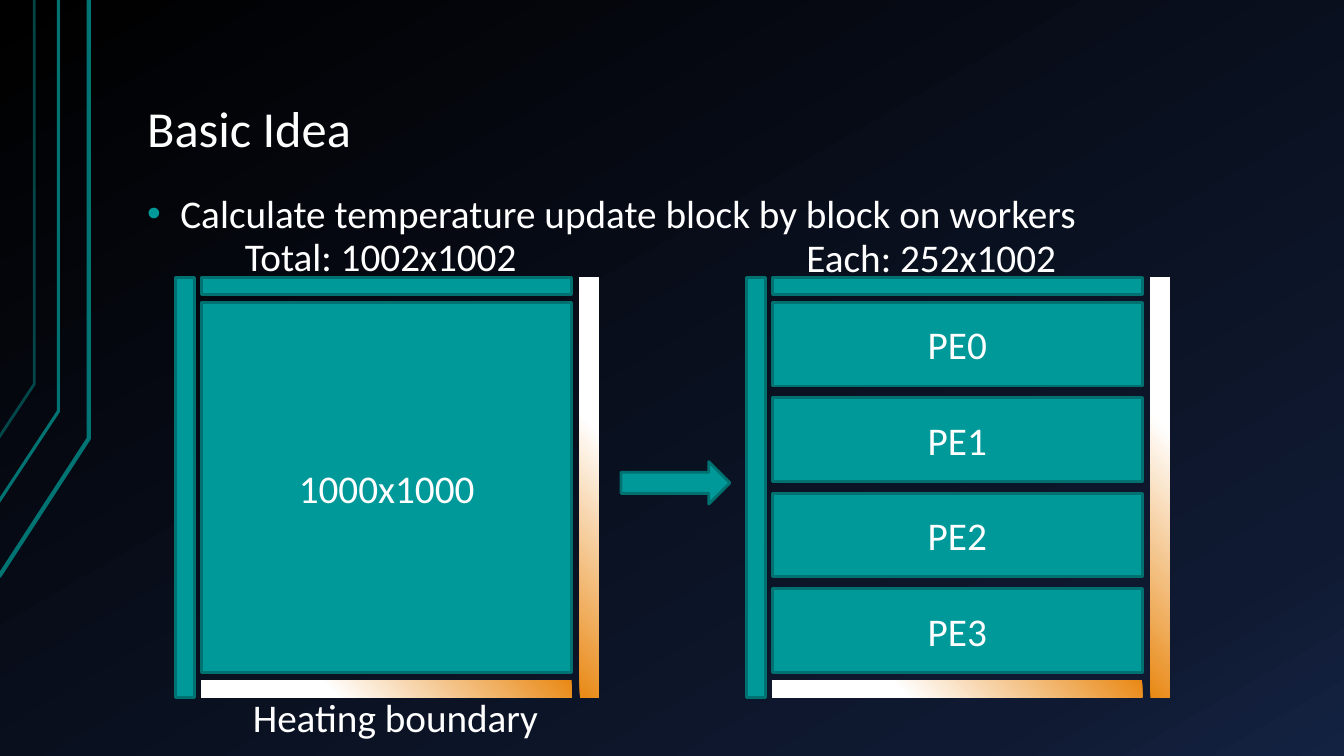
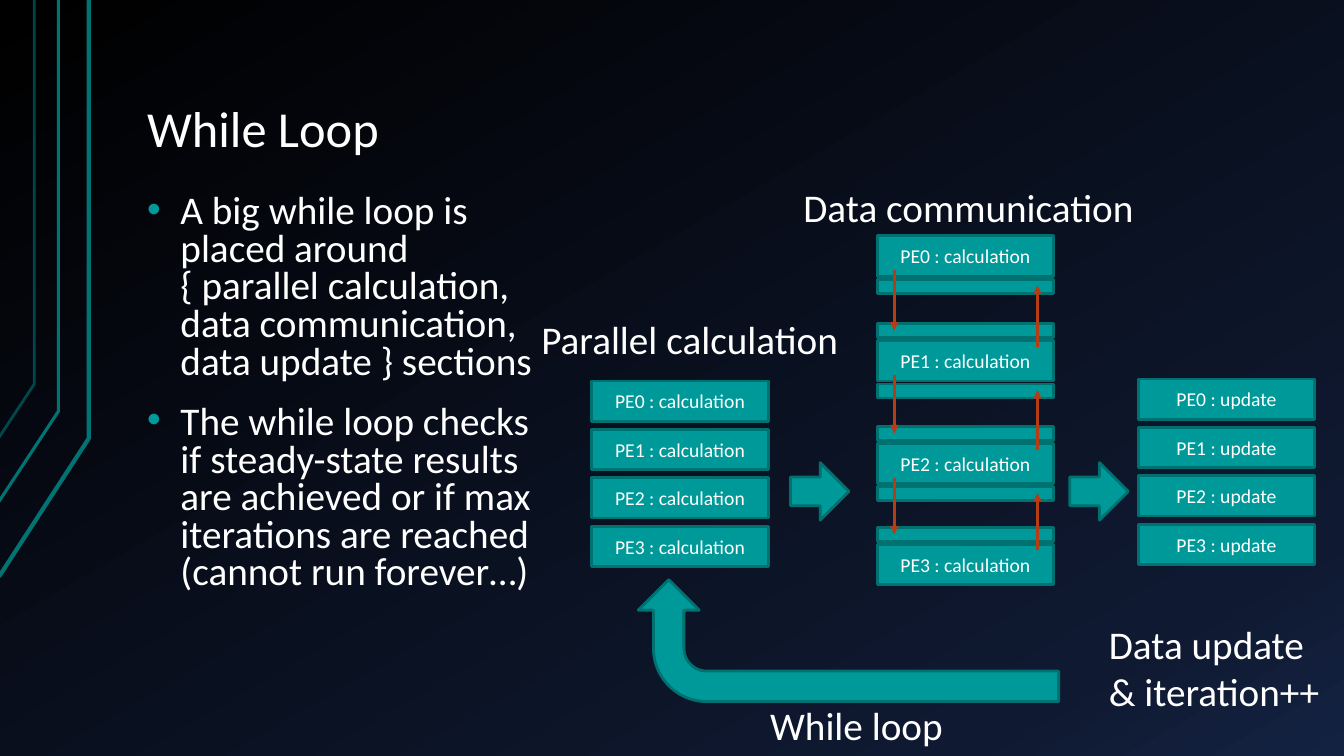
from lxml.etree import SubElement
from pptx import Presentation
from pptx.dml.color import RGBColor
from pptx.enum.shapes import MSO_CONNECTOR, MSO_SHAPE
from pptx.enum.text import MSO_ANCHOR, MSO_AUTO_SIZE, PP_ALIGN
from pptx.oxml.ns import qn
from pptx.util import Inches, Pt

# Shared look
HUES = {"text": "FFFFFF", "teal": "009999", "edge": "007171", "rail": "007373", "link": "B63C16"}
FONT = "Calibri"
NIGHT = [(0, "000000"), (85, "0F1931"), (100, "142242")]
HEAT = [(0, "FFFFFF"), (35, "FFFFFF"), (100, "E98915")]
RAILS = [  # points, width, opacity
    ([(-0.01, 5.72), (0.88, 4.35), (0.88, 0)], 3, 100),
    ([(-0.02, 4.99), (0.58, 4.08), (0.58, 0)], 2.25, 100),
    ([(-0.01, 4.34), (0.34, 3.81), (0.34, 0)], 2, 60),
]

# Content
IDEA = {
    "title": "Basic Idea",
    "points": ["Calculate temperature update block by block on workers"],
    "grids": [(2, ["1000x1000"]), (7.66, ["PE0", "PE1", "PE2", "PE3"])],
    "notes": [
        ("Heating boundary", 2.41, 6.83, 3.06),
        ("Total: 1002x1002", 2.33, 2.26, 2.93),
        ("Each: 252x1002", 7.9, 2.27, 2.71),
    ],
}
LOOP = {
    "title": "While Loop",
    "points": [
        "A big while loop is placed around { parallel calculation, "
        "data communication, data update } sections",
        "The while loop checks if steady-state results are achieved "
        "or if max iterations are reached (cannot run forever…)",
    ],
    "stacks": [("calculation", 5.87, 3.78), ("update", 11.29, 3.76)],
    "swap": [2.34, 3.38, 4.4, 5.4],
    "notes": [
        ("Parallel calculation", 5.27, 3.08, 3.22),
        ("Data communication", 7.87, 1.77, 3.51),
        ("Data update\n& iteration++", 10.9, 6.1, 2.31),
        ("While loop", 7.54, 6.91, 1.93),
    ],
}


def rgb(name):
    return RGBColor.from_string(HUES[name])


def write(frame, lines, size=28, align=PP_ALIGN.LEFT, space=None, before=0, dot=False):
    for i, line in enumerate(lines):
        para = frame.paragraphs[0] if i == 0 else frame.add_paragraph()
        para.alignment = align
        if space:
            para.line_spacing = space
        para.space_before = Pt(before)
        run = para.add_run()
        run.text = line
        run.font.name, run.font.size = FONT, Pt(size)
        run.font.color.rgb = rgb("text")
        if dot:
            props = para._p.get_or_add_pPr()
            props.set("marL", str(Inches(0.33)))
            props.set("indent", str(-Inches(0.33)))
            SubElement(SubElement(props, qn("a:buClr")), qn("a:srgbClr"), val=HUES["teal"])
            SubElement(props, qn("a:buFont"), typeface="Arial")
            SubElement(props, qn("a:buChar"), char="•")


def blend(fill, root, stops, angle=None, focus=None):
    """Give a fill its stops, with an angle or a circle focus (l, t, r, b)."""
    fill.gradient()
    grad = root.find(".//" + qn("a:gradFill"))
    for kid in list(grad):
        grad.remove(kid)
    group = SubElement(grad, qn("a:gsLst"))
    for share, hue in stops:
        stop = SubElement(group, qn("a:gs"), pos=str(share * 1000))
        SubElement(stop, qn("a:srgbClr"), val=hue)
    if focus:
        ring = SubElement(grad, qn("a:path"), path="circle")
        sides = {k: str(v * 1000) for k, v in zip("ltrb", focus)}
        SubElement(ring, qn("a:fillToRect"), **sides)
    else:
        SubElement(grad, qn("a:lin"), ang=str(angle * 60000), scaled="0")


def block(slide, x, y, w, h, label="", size=28, kind=MSO_SHAPE.RECTANGLE, turn=False, focus=None):
    """Place a shape by its visible box; turn rotates it by 270 degrees."""
    if turn:
        x, y, w, h = x + (w - h) / 2, y + (h - w) / 2, h, w
    shape = slide.shapes.add_shape(kind, Inches(x), Inches(y), Inches(w), Inches(h))
    shape.rotation = 270 if turn else 0
    shape.shadow.inherit = False
    if focus:
        blend(shape.fill, shape._element, HEAT, focus=focus)
        shape.line.fill.background()
    else:
        shape.fill.solid()
        shape.fill.fore_color.rgb = rgb("teal")
        shape.line.color.rgb = rgb("edge")
        shape.line.width = Pt(2)
    if label:
        shape.text_frame.vertical_anchor = MSO_ANCHOR.MIDDLE
        write(shape.text_frame, [label], size=size, align=PP_ALIGN.CENTER)


def area(slide, x, y, w, h, lines, anchor=MSO_ANCHOR.TOP, **look):
    frame = slide.shapes.add_textbox(Inches(x), Inches(y), Inches(w), Inches(h)).text_frame
    frame.word_wrap = True
    frame.vertical_anchor = anchor
    frame.margin_left = frame.margin_right = Inches(0.13)
    frame.margin_top = frame.margin_bottom = Inches(0.07)
    write(frame, lines, **look)


def note(slide, words, x, y, w):
    lines = words.split("\n")
    high = 0.1 + 0.47 * len(lines)
    frame = slide.shapes.add_textbox(Inches(x), Inches(y), Inches(w), Inches(high)).text_frame
    frame.word_wrap = False
    frame.auto_size = MSO_AUTO_SIZE.SHAPE_TO_FIT_TEXT
    write(frame, lines)


def link(slide, x, start, end):
    line = slide.shapes.add_connector(
        MSO_CONNECTOR.STRAIGHT, Inches(x), Inches(start), Inches(x), Inches(end))
    line.line.color.rgb = rgb("link")
    line.line.width = Pt(2)
    SubElement(line.line._get_or_add_ln(), qn("a:tailEnd"), type="triangle")
    SubElement(line._element.spPr, qn("a:effectLst"))


def start(deck, data, wide, high, space):
    slide = deck.slides.add_slide(deck.slide_layouts[6])
    for points, width, alpha in RAILS:
        spots = [(Inches(x), Inches(y)) for x, y in points]
        path = slide.shapes.build_freeform(*spots[0], scale=1.0)
        path.add_line_segments(spots[1:], close=False)
        rail = path.convert_to_shape()
        rail.shadow.inherit = False
        rail.fill.background()
        rail.line.color.rgb = rgb("rail")
        rail.line.width = Pt(width)
        if alpha < 100:
            hue = rail.line._get_or_add_ln().find(".//" + qn("a:srgbClr"))
            SubElement(hue, qn("a:alpha"), val=str(alpha * 1000))
    area(slide, 1.33, 0.3, 11.33, 1.34, [data["title"]], anchor=MSO_ANCHOR.BOTTOM, size=36, space=0.9)
    area(slide, 1.33, 1.86, wide, high, data["points"], space=space, before=16, dot=True)
    return slide


def idea(deck):
    slide = start(deck, IDEA, 11.33, 0.64, 0.9)
    side, thin, top = 3.67, 0.17, 3
    for x, names in IDEA["grids"]:
        # Work blocks
        high = side if len(names) == 1 else 0.83
        step = (side - high) / max(len(names) - 1, 1)
        for i, name in enumerate(names):
            block(slide, x, top + i * step, side, high, name)
        # Cold borders, then heated ones
        block(slide, x, 2.75, side, thin)
        block(slide, x - 0.26, 2.75, 0.19, 4.17, turn=True)
        block(slide, x, 6.75, side, thin, focus=(0, 100, 100, 0))
        block(slide, x + 3.75, 2.75, 0.19, 4.17, turn=True, focus=(100, 0, 0, 100))
    block(slide, 6.16, 4.58, 1.08, 0.42, kind=MSO_SHAPE.RIGHT_ARROW)
    for item in IDEA["notes"]:
        note(slide, *item)


def loop(deck):
    slide = start(deck, LOOP, 4.08, 4.88, 0.8)
    wide, high, rim, left = 1.75, 0.4, 0.14, 8.7
    for task, x, top in LOOP["stacks"]:
        for i in range(4):
            block(slide, x, top + i * 0.48, wide, high, f"PE{i} : {task}", size=14)
    # Exchange of border rows between neighbours
    tops = LOOP["swap"]
    for i, y in enumerate(tops):
        block(slide, left, y, wide, high, f"PE{i} : calculation", size=14)
        if i > 0:
            block(slide, left, y - 0.17, wide, rim)
        if i < len(tops) - 1:
            block(slide, left, y + 0.43, wide, rim)
    for y, below in zip(tops, tops[1:]):
        link(slide, 8.87, y + 0.34, below - 0.1)
        link(slide, 10.29, below + 0.06, y + 0.49)
    # Flow arrows
    for x in (7.84, 10.61):
        block(slide, x, 4.59, 0.58, 0.57, kind=MSO_SHAPE.RIGHT_ARROW)
    block(slide, 6.33, 5.75, 4.17, 1.21, kind=MSO_SHAPE.BENT_ARROW, turn=True)
    for item in LOOP["notes"]:
        note(slide, *item)


def main():
    deck = Presentation()
    deck.slide_width, deck.slide_height = Inches(13.33), Inches(7.5)
    master = deck.slide_master
    blend(master.background.fill, master.element, NIGHT, angle=60)
    idea(deck)
    loop(deck)
    deck.save("out.pptx")


if __name__ == "__main__":
    main()
